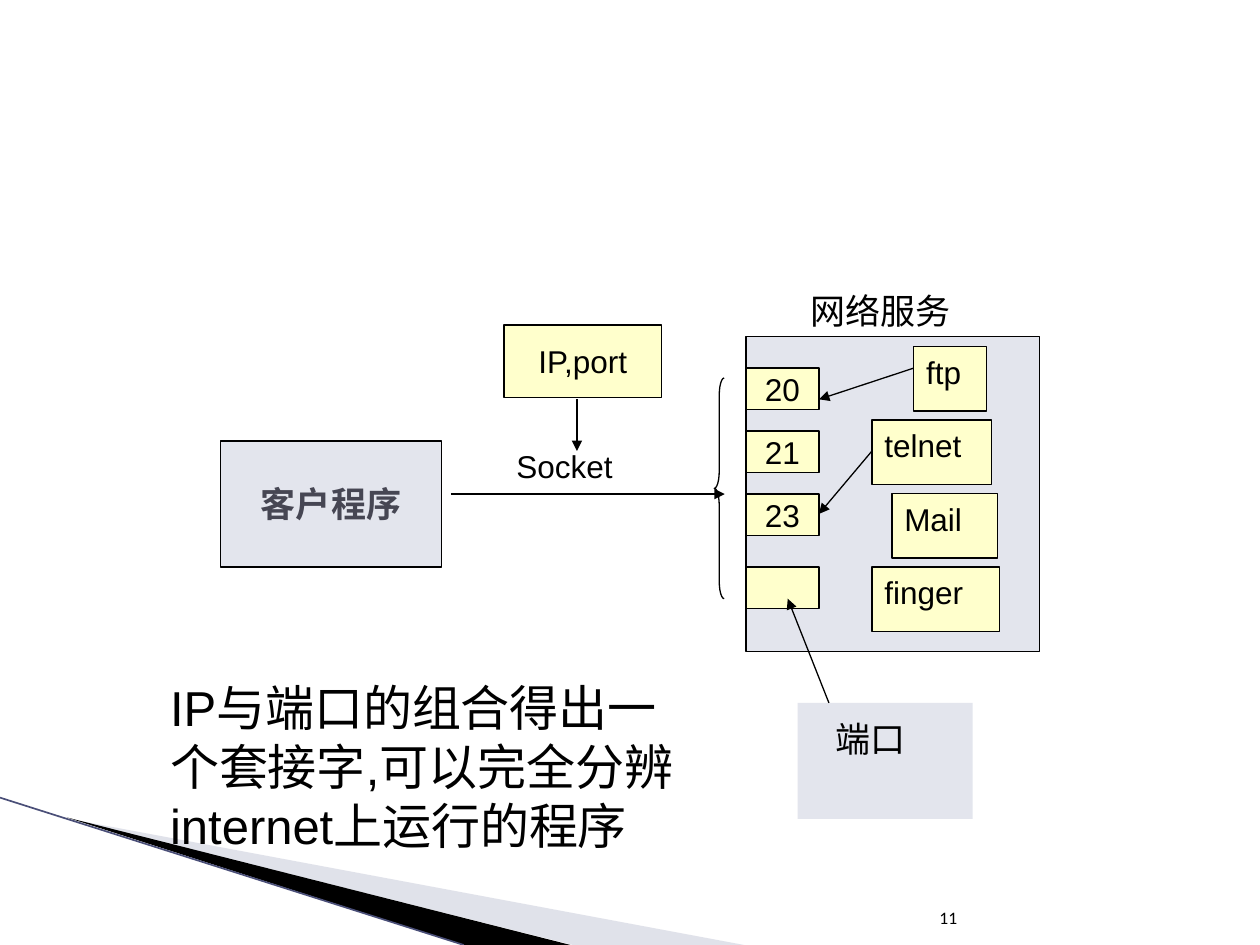
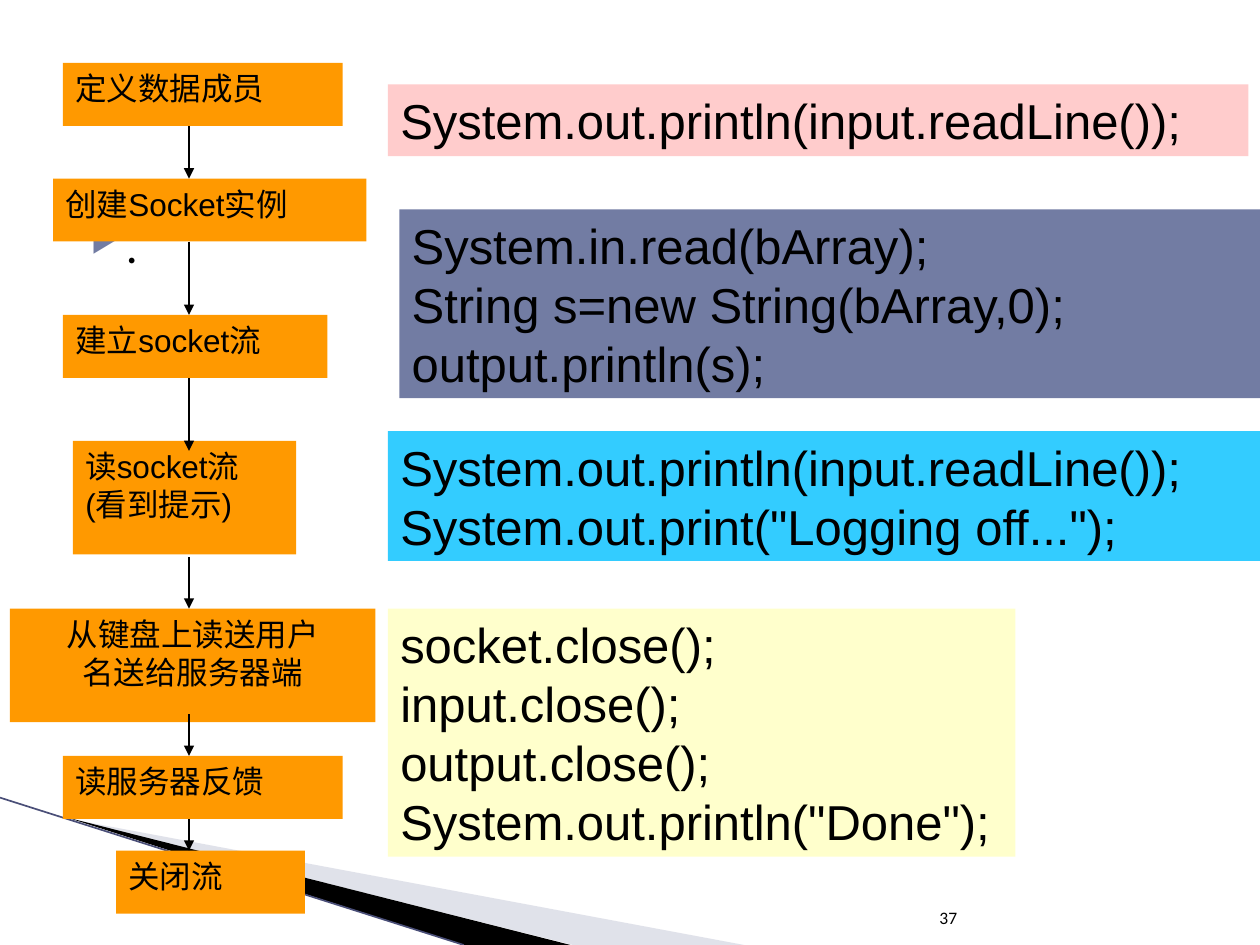
from lxml import etree
from pptx import Presentation
from pptx.dml.color import RGBColor
from pptx.enum.shapes import MSO_CONNECTOR, MSO_SHAPE
from pptx.enum.text import MSO_ANCHOR, PP_ALIGN
from pptx.oxml.ns import qn
from pptx.util import Cm, Pt

RECTANGLE = MSO_SHAPE.RECTANGLE
LEFT_BRACE = MSO_SHAPE.LEFT_BRACE
STRAIGHT = MSO_CONNECTOR.STRAIGHT
TOP, MIDDLE, BOTTOM = MSO_ANCHOR.TOP, MSO_ANCHOR.MIDDLE, MSO_ANCHOR.BOTTOM
LEFT, CENTER = PP_ALIGN.LEFT, PP_ALIGN.CENTER

BLACK = RGBColor(0x00, 0x00, 0x00)
SLATE = RGBColor(0x46, 0x46, 0x53)
INDIGO = RGBColor(0x72, 0x7C, 0xA3)
EDGE = RGBColor(0x4A, 0x4F, 0x78)
MIST = RGBColor(0xB3, 0xB7, 0xCB)
PALE_GREY = RGBColor(0xE3, 0xE5, 0xED)
CREAM = RGBColor(0xFF, 0xFF, 0xCC)
ORANGE = RGBColor(0xFF, 0x99, 0x00)
PINK = RGBColor(0xFF, 0xCC, 0xCC)
SKY = RGBColor(0x33, 0xCC, 0xFF)

PAGE_WIDTH, PAGE_HEIGHT = 25.4, 19.05


def write(box, text, *, size=18, font="Arial", color=BLACK, bold=False,
          align=LEFT, anchor=TOP, wrap=True):
    """Fill the box with one paragraph per line of text."""
    frame = box.text_frame
    frame.word_wrap = wrap
    frame.vertical_anchor = anchor
    for number, line in enumerate(text.split("\n")):
        para = frame.paragraphs[0] if number == 0 else frame.add_paragraph()
        para.alignment = align
        span = para.add_run()
        span.text = line
        span.font.name = font
        span.font.size = Pt(size)
        span.font.bold = bold
        span.font.color.rgb = color


def add_bullet(para, char, color, percent, margin, indent):
    properties = para._p.get_or_add_pPr()
    properties.set("marL", str(Cm(margin)))
    properties.set("indent", str(Cm(indent)))
    tint = etree.SubElement(properties, qn("a:buClr"))
    etree.SubElement(tint, qn("a:srgbClr")).set("val", str(color))
    etree.SubElement(properties, qn("a:buSzPct")).set("val", str(percent * 1000))
    etree.SubElement(properties, qn("a:buChar")).set("char", char)


class Deck:
    """Shared style together with the page being drawn; lengths are in cm."""

    def __init__(self):
        self.presentation = Presentation()
        self.presentation.slide_width = Cm(PAGE_WIDTH)
        self.presentation.slide_height = Cm(PAGE_HEIGHT)
        self.page = None

    def new_page(self, number):
        self.page = self.presentation.slides.add_slide(
            self.presentation.slide_layouts[6])
        self.wedge([(1.4, 16.51), (15, PAGE_HEIGHT), (11.55, PAGE_HEIGHT)],
                   MIST, opacity=40)
        self.wedge([(1.35, 16.48), (11.5, PAGE_HEIGHT), (9.35, PAGE_HEIGHT)], BLACK)
        self.line((0, 16.08), (9.35, PAGE_HEIGHT), color=EDGE, weight=0.95)
        self.text(number, 18.69, 17.81, 5.33, 1.02,
                  size=10, font="Calibri", anchor=BOTTOM)

    def wedge(self, points, color, opacity=100):
        corners = [(Cm(x), Cm(y)) for x, y in points]
        builder = self.page.shapes.build_freeform(*corners[0])
        builder.add_line_segments(corners[1:], close=True)
        wedge = builder.convert_to_shape()
        wedge.shadow.inherit = False
        wedge.fill.solid()
        wedge.fill.fore_color.rgb = color
        wedge.line.fill.background()
        if opacity < 100:
            tint = wedge._element.spPr.find(qn("a:solidFill"))[0]
            etree.SubElement(tint, qn("a:alpha")).set("val", str(opacity * 1000))

    def shape(self, left, top, width, height, *, kind=RECTANGLE, fill=None,
              outlined=False):
        shape = self.page.shapes.add_shape(
            kind, Cm(left), Cm(top), Cm(width), Cm(height))
        shape.shadow.inherit = False
        if fill is None:
            shape.fill.background()
        else:
            shape.fill.solid()
            shape.fill.fore_color.rgb = fill
        if outlined:
            shape.line.color.rgb = BLACK
            shape.line.width = Pt(0.75)
        else:
            shape.line.fill.background()
        return shape

    def label(self, text, left, top, width, height, fill, *, outlined=False,
              **style):
        box = self.shape(left, top, width, height, fill=fill, outlined=outlined)
        write(box, text, **style)

    def text(self, text, left, top, width, height, **style):
        box = self.page.shapes.add_textbox(
            Cm(left), Cm(top), Cm(width), Cm(height))
        write(box, text, **style)
        return box

    def line(self, start, end, *, color=BLACK, weight=0.75):
        line = self.page.shapes.add_connector(
            STRAIGHT, *(Cm(value) for value in (*start, *end)))
        line.line.color.rgb = color
        line.line.width = Pt(weight)
        etree.SubElement(line._element.spPr, qn("a:effectLst"))
        return line

    def arrow(self, start, end):
        stroke = self.line(start, end).line._get_or_add_ln()
        etree.SubElement(stroke, qn("a:tailEnd")).set("type", "triangle")


def draw_socket_diagram(deck):
    deck.new_page("11")
    centered = {"outlined": True, "align": CENTER, "anchor": MIDDLE}

    deck.shape(15.04, 6.78, 5.92, 6.35, fill=PALE_GREY, outlined=True)
    deck.text("网络服务", 16.08, 5.72, 3.35, 1.09, size=20, wrap=False)
    services = [("ftp", 18.42, 1.47), ("telnet", 17.58, 2.41),
                ("Mail", 17.98, 2.13), ("finger", 17.58, 2.57)]
    for row, (name, left, width) in enumerate(services):
        deck.label(name, left, 6.99 + 1.48 * row, width, 1.3, CREAM, outlined=True)
    for port, top in [("20", 7.42), ("21", 8.69), ("23", 9.96)]:
        deck.label(port, 15.04, top, 1.47, 0.84, CREAM, **centered)
    deck.shape(15.04, 11.43, 1.47, 0.84, fill=CREAM, outlined=True)

    deck.shape(16.08, 14.17, 3.53, 2.34, fill=PALE_GREY)
    deck.text("端口", 16.59, 14.33, 1.93, 1.09, size=20, wrap=False)

    deck.label("客户程序", 4.45, 8.89, 4.45, 2.54, PALE_GREY,
               size=20, color=SLATE, bold=True, **centered)
    brace = deck.shape(14.4, 7.62, 0.2, 4.45, kind=LEFT_BRACE, outlined=True)
    brace.adjustments[0] = 1.75
    deck.text("Socket", 10.16, 8.89, 2.82, 1.27)
    deck.label("IP,port", 10.16, 6.55, 3.18, 1.47, CREAM, **centered)

    for start, end in [((16.71, 14.17), (15.88, 12.07)),
                       ((18.42, 7.42), (16.51, 8.05)),
                       ((17.58, 9.09), (16.51, 10.36)),
                       ((9.09, 9.96), (14.61, 9.96)),
                       ((11.63, 8.05), (11.63, 9.09))]:
        deck.arrow(start, end)
    deck.text("IP与端口的组合得出一个套接字,可以完全分辨internet上运行的程序",
              3.18, 13.54, 11.23, 3.81, size=28)


def draw_client_steps(deck):
    deck.new_page("37")
    body = deck.text(".", 1.27, 4.24, 22.86, 12.45, size=27, font="Calibri")
    add_bullet(body.text_frame.paragraphs[0], "▶", INDIGO, 68, 1.02, -0.71)

    steps = [("定义数据成员", 1.27, 1.27, 5.64, LEFT),
             ("创建Socket实例", 1.07, 3.6, 6.32, LEFT),
             ("建立socket流", 1.27, 6.35, 5.33, LEFT),
             ("读socket流\n(看到提示)", 1.47, 8.89, 4.5, LEFT),
             ("从键盘上读送用户\n名送给服务器端", 0.2, 12.27, 7.37, CENTER),
             ("读服务器反馈", 1.27, 15.24, 5.64, LEFT),
             ("关闭流", 2.34, 17.15, 3.81, LEFT)]
    for text, left, top, width, align in steps:
        height = 2.29 if "\n" in text else 1.27
        deck.label(text, left, top, width, height, ORANGE, align=align)
    for start, end in [(2.54, 3.6), (4.87, 6.35), (7.62, 9.09),
                       (11.23, 12.27), (14.4, 15.24), (16.51, 17.15)]:
        deck.arrow((3.81, start), (3.81, end))

    code_blocks = [
        ("System.out.println(input.readLine());", 7.82, 1.7, 17.35, 1.45, PINK),
        ("System.in.read(bArray);\nString s=new String(bArray,0);\n"
         "output.println(s);", 8.05, 4.22, 17.35, 3.81, INDIGO),
        ("System.out.println(input.readLine());\n"
         'System.out.print("Logging off...");', 7.82, 8.69, 17.58, 2.62, SKY),
        ("socket.close();\ninput.close();\noutput.close();\n"
         'System.out.println("Done");', 7.82, 12.27, 12.65, 5, CREAM)]
    for code, left, top, width, height, fill in code_blocks:
        deck.label(code, left, top, width, height, fill, size=28)


def main():
    deck = Deck()
    draw_socket_diagram(deck)
    draw_client_steps(deck)
    deck.presentation.save("out.pptx")


if __name__ == "__main__":
    main()
